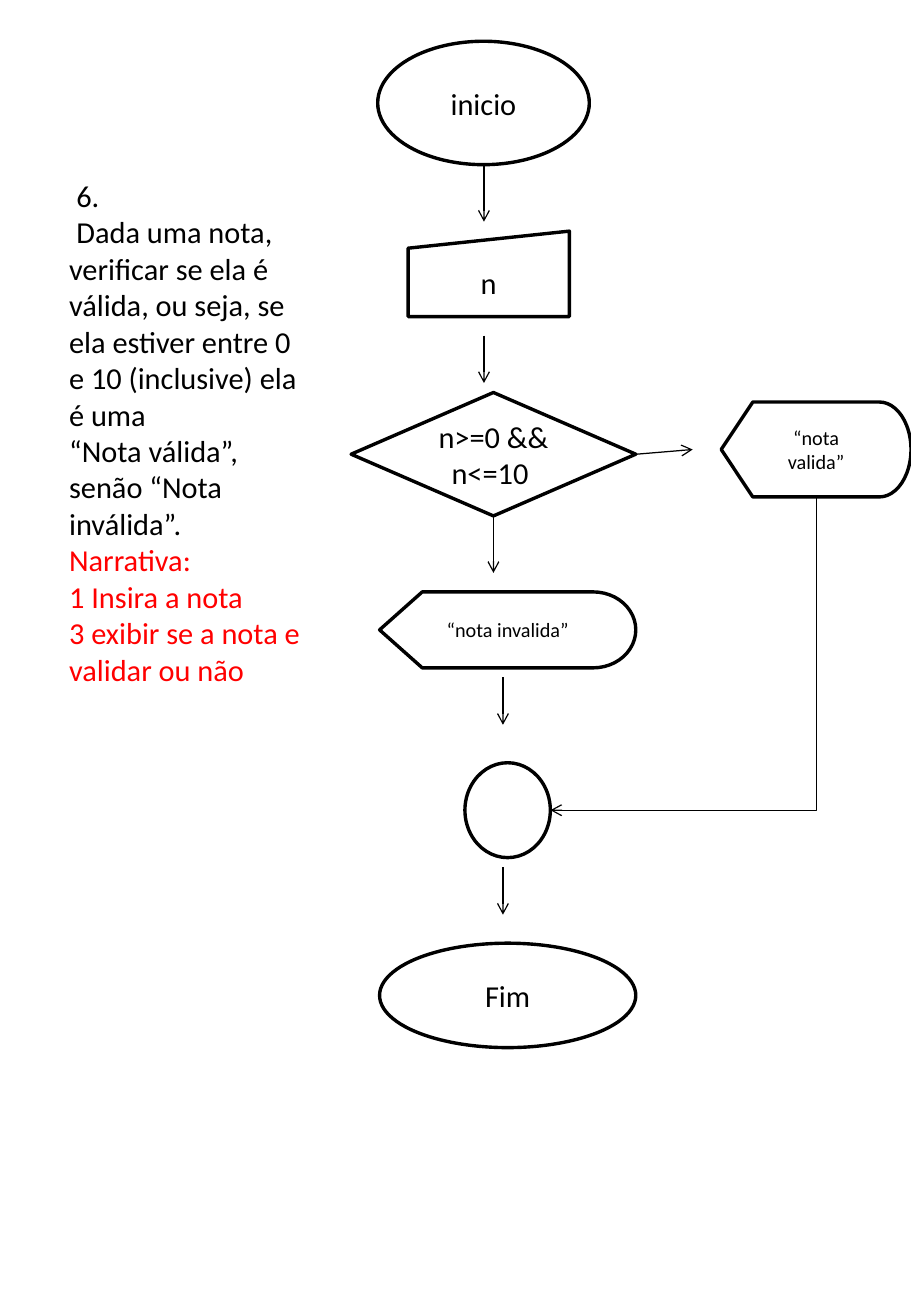
from dataclasses import dataclass
from lxml.etree import SubElement as Sub
from pptx import Presentation
from pptx.dml.color import RGBColor as Rgb
from pptx.enum.shapes import MSO_CONNECTOR as Link, MSO_SHAPE as Kind
from pptx.enum.text import MSO_ANCHOR as Anchor, MSO_AUTO_SIZE as Fit, PP_ALIGN as Align
from pptx.oxml.ns import qn
from pptx.util import Inches, Pt


@dataclass(frozen=True)
class Theme:
    font: str = "Calibri"
    ink: Rgb = Rgb(0, 0, 0)
    paper: Rgb = Rgb(255, 255, 255)
    red: Rgb = Rgb(255, 0, 0)
    body: float = 18
    small: float = 12
    edge: float = 2
    thin: float = 0.75


LOOK = Theme()
WIDE, HIGH = 7.5, 10.83
COLS = 96
CELL = WIDE / COLS


@dataclass(frozen=True)
class Box:
    left: float
    top: float

    def spot(self, col, row):
        return Inches(self.left + col * CELL), Inches(self.top + row * CELL)

    def area(self, col, row, wide, high):
        return *self.spot(col, row), Inches(wide * CELL), Inches(high * CELL)


def write(para, text, size=LOOK.body, color=LOOK.ink, align=None):
    run = para.add_run()
    run.text = text
    font = run.font
    font.name, font.size = LOOK.font, Pt(size)
    font.color.rgb = color
    if align is not None:
        para.alignment = align


def node(slide, box, kind, cells, text="", size=LOOK.body):
    shape = slide.shapes.add_shape(kind, *box.area(*cells))
    shape.shadow.inherit = False
    shape.fill.solid()
    shape.fill.fore_color.rgb = LOOK.paper
    shape.line.color.rgb = LOOK.ink
    shape.line.width = Pt(LOOK.edge)
    if text:
        frame = shape.text_frame
        frame.word_wrap = True
        frame.vertical_anchor = Anchor.MIDDLE
        write(frame.paragraphs[0], text, size=size, align=Align.CENTER)
    return shape


def arrow(slide, box, start, end, kind=Link.STRAIGHT, source=None, side=2):
    link = slide.shapes.add_connector(kind, *box.spot(*start), *box.spot(*end))
    link.line.color.rgb = LOOK.ink
    link.line.width = Pt(LOOK.thin)
    Sub(link.line._get_or_add_ln(), qn("a:tailEnd"), type="arrow")
    Sub(link._element.spPr, qn("a:effectLst"))
    if source is not None:
        link.begin_connect(source, side)
    return link


def bend(slide, box, start, end, source):
    link = arrow(slide, box, start, end, Link.ELBOW, source)
    wide, high = start[0] - end[0], end[1] - start[1]
    col = (start[0] + end[0] - high) / 2
    row = (start[1] + end[1] - wide) / 2
    link.left, link.top, link.width, link.height = box.area(col, row, high, wide)
    props = link._element.spPr
    frame = props.find(qn("a:xfrm"))
    frame.attrib.pop("flipH", None)
    frame.set("rot", str(90 * 60000))
    props.find(qn("a:prstGeom")).set("prst", "bentConnector2")


def task(slide, box):
    body = slide.placeholders[1]
    body.left, body.top, body.width, body.height = box.area(0, 0, 27, 55.4)
    frame = body.text_frame
    frame.word_wrap = True
    frame.auto_size = Fit.NONE
    frame.vertical_anchor = Anchor.TOP
    black, red = LOOK.ink, LOOK.red
    lines = [
        (0.06, [("6.", black)]),
        (0.06, [("Dada uma nota, verificar se ela é válida, ou seja, se ela "
                 "estiver entre 0 e 10 (inclusive) ela é uma", black)]),
        (0, [("“Nota válida”, senão “Nota inválida”. ", black),
             ("Narrativa:", red)]),
        (0, [("1 Insira a nota", red)]),
        (0, [("3 exibir se a nota e validar ou não", red)]),
    ]
    for i, (inset, parts) in enumerate(lines):
        para = frame.add_paragraph() if i else frame.paragraphs[0]
        para.space_before = Pt(0)
        props = para._p.get_or_add_pPr()
        props.set("marL", "0")
        props.set("indent", str(Inches(inset)))
        Sub(props, qn("a:buNone"))
        for text, color in parts:
            write(para, text, color=color)


def flow(slide, box):
    node(slide, box, Kind.OVAL, (2.8, 0, 22.3, 13), "inicio")
    node(slide, box, Kind.FLOWCHART_MANUAL_INPUT, (6, 20, 17, 9), "n")
    test = node(slide, box, Kind.FLOWCHART_DECISION, (0, 37, 30, 13),
                "n>=0 && n<=10 ")
    valid = node(slide, box, Kind.FLOWCHART_DISPLAY, (39, 38, 20, 10),
                 "“nota valida”", size=LOOK.small)
    node(slide, box, Kind.FLOWCHART_DISPLAY, (3, 58, 27, 8),
         "“nota invalida”", size=LOOK.small)
    node(slide, box, Kind.FLOWCHART_CONNECTOR, (12, 76, 9, 10))
    node(slide, box, Kind.OVAL, (3, 95, 27, 11), "Fim")

    for col, row, drop in ((14, 13, 6), (14, 31, 5), (16, 67, 5), (16, 87, 5)):
        arrow(slide, box, (col, row), (col, row + drop))
    arrow(slide, box, (15, 50), (15, 56), source=test)
    arrow(slide, box, (30, 43.5), (36, 43), source=test, side=3)
    bend(slide, box, (49, 48), (21, 81), valid)


def main():
    deck = Presentation()
    deck.slide_width, deck.slide_height = Inches(WIDE), Inches(HIGH)
    slide = deck.slides.add_slide(deck.slide_layouts[1])
    title = slide.shapes.title._element
    title.getparent().remove(title)
    task(slide, Box(6 * CELL, 18 * CELL))
    flow(slide, Box(37 * CELL, 4.35 * CELL))
    deck.save("out.pptx")


if __name__ == "__main__":
    main()
